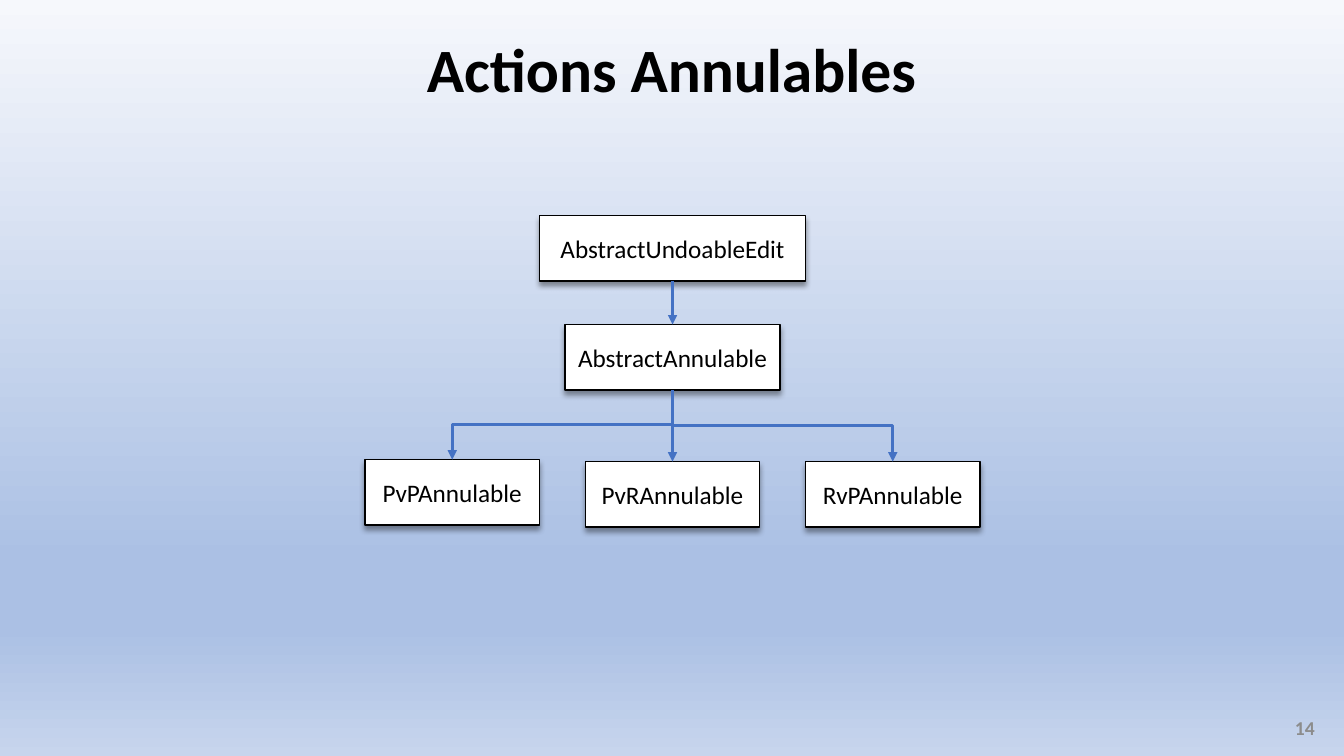
from dataclasses import dataclass
from lxml.etree import SubElement
from pptx import Presentation
from pptx.dml.color import RGBColor
from pptx.enum.shapes import MSO_CONNECTOR, MSO_SHAPE
from pptx.enum.text import MSO_ANCHOR, PP_ALIGN
from pptx.oxml import parse_xml
from pptx.oxml.ns import nsdecls, qn
from pptx.util import Inches, Pt


@dataclass(frozen=True)
class Theme:
    """Colours, font and type sizes of the slide."""
    font: str = "Calibri"
    ink: str = "000000"
    paper: str = "FFFFFF"
    arrow: str = "4472C4"
    muted: str = "8C8C8C"
    backdrop: tuple = ((0, "F6F8FC"), (74, "ABC0E4"), (83, "ABC0E4"), (100, "C7D5ED"))
    title: int = 44
    label: int = 18
    number: int = 14


@dataclass(frozen=True)
class Box:
    """A rectangle that hands out shares of itself in percent."""
    left: float
    top: float
    width: float
    height: float

    def inner(self, left, top, width, height):
        """Return the inner box given in percent of this one."""
        return Box(self.left + self.width * left / 100, self.top + self.height * top / 100,
                   self.width * width / 100, self.height * height / 100)

    def emu(self):
        """Return left, top, width and height as lengths."""
        return [Inches(v) for v in (self.left, self.top, self.width, self.height)]


T = Theme()
SLIDE = Box(0, 0, 13.33, 7.5)


def write(sp, text, size, color=T.ink, align=PP_ALIGN.CENTER, bold=False):
    """Put one formatted run into a shape and return its paragraph."""
    tf = sp.text_frame
    tf.word_wrap = True
    tf.vertical_anchor = MSO_ANCHOR.MIDDLE
    p = tf.paragraphs[0]
    p.alignment = align
    r = p.add_run()
    r.text = text
    r.font.name, r.font.size, r.font.bold = T.font, Pt(size), bold
    r.font.color.rgb = RGBColor.from_string(color)
    return p


def paint_background(s):
    """Fill the slide with a vertical gradient."""
    stops = "".join(f'<a:gs pos="{pos * 1000}"><a:srgbClr val="{c}"/></a:gs>'
                    for pos, c in T.backdrop)
    s._element.cSld.insert(0, parse_xml(
        f'<p:bg {nsdecls("p", "a")}><p:bgPr><a:gradFill rotWithShape="1">'
        f'<a:gsLst>{stops}</a:gsLst><a:lin ang="5400000" scaled="0"/></a:gradFill>'
        '<a:effectLst/></p:bgPr></p:bg>'))


def add_title(s, box, text):
    """Place and format the title placeholder."""
    sp = s.shapes.title
    sp.left, sp.top, sp.width, sp.height = box.emu()
    write(sp, text, T.title, bold=True).line_spacing = 0.9


def add_number(s, box, text):
    """Place the slide number."""
    write(s.shapes.add_textbox(*box.emu()), text, T.number, T.muted, PP_ALIGN.RIGHT, True)


def add_node(s, box, text):
    """Draw one class box with a soft shadow below it."""
    sp = s.shapes.add_shape(MSO_SHAPE.RECTANGLE, *box.emu())
    sp.fill.solid()
    sp.fill.fore_color.rgb = RGBColor.from_string(T.paper)
    sp.line.color.rgb = RGBColor.from_string(T.ink)
    sp.line.width = Pt(1)
    sp.shadow.inherit = False
    sp._element.spPr.find(qn("a:effectLst")).append(parse_xml(
        f'<a:outerShdw {nsdecls("a")} blurRad="{Pt(4)}" dist="{Pt(3)}" dir="5400000" '
        f'algn="t" rotWithShape="0"><a:srgbClr val="{T.ink}"><a:alpha val="40000"/>'
        '</a:srgbClr></a:outerShdw>'))
    write(sp, text, T.label)
    return sp


def link(s, parent, child):
    """Join the foot of a parent to the head of a child with an elbow arrow."""
    c = s.shapes.add_connector(MSO_CONNECTOR.ELBOW, 0, 0, 0, 0)
    c.begin_connect(parent, 2)
    c.end_connect(child, 0)
    x1, y1 = parent.left + parent.width // 2, parent.top + parent.height
    x2, y2 = child.left + child.width // 2, child.top
    c.width, c.height = y2 - y1, abs(x2 - x1)
    c.left, c.top = (x1 + x2 - c.width) // 2, (y1 + y2 - c.height) // 2
    leftward = x2 < x1
    xfrm = c._element.spPr.find(qn("a:xfrm"))
    xfrm.set("rot", str((90 if leftward else 270) * 60000))
    xfrm.set("flipH", "0" if leftward else "1")
    xfrm.set("flipV", "0")
    c.line.color.rgb = RGBColor.from_string(T.arrow)
    c.line.width = Pt(2.25)
    SubElement(c.line._get_or_add_ln(), qn("a:tailEnd"), type="triangle")
    SubElement(c._element.spPr, qn("a:effectLst"))


def add_hierarchy(s, box, root, base, leaves):
    """Draw two centred classes above an even row of subclasses."""
    high, wide, lift = 21.04, 28.36, 0.64
    step = (100 - wide) / (len(leaves) - 1)

    def centred(text, top, width):
        """Add a node on the vertical axis of the box."""
        return add_node(s, box.inner(50 - width / 2, top, width, high), text)

    root_node = centred(root, 0, 43.28)
    base_node = centred(base, 34.95, 34.92)
    link(s, root_node, base_node)
    for i, name in enumerate(leaves):
        top = 100 - high - (lift if i == 0 else 0)
        link(s, base_node, add_node(s, box.inner(i * step, top, wide, high), name))


def main():
    """Build and save the presentation."""
    prs = Presentation()
    prs.slide_width, prs.slide_height = SLIDE.emu()[2:]
    s = prs.slides.add_slide(prs.slide_layouts[5])
    paint_background(s)
    add_title(s, SLIDE.inner(30.5, 2.67, 39, 13.87), "Actions Annulables")
    add_hierarchy(s, SLIDE.inner(27.16, 28.53, 45.76, 41.2), "AbstractUndoableEdit",
                  "AbstractAnnulable", ["PvPAnnulable", "PvRAnnulable", "RvPAnnulable"])
    add_number(s, SLIDE.inner(76.07, 93.6, 22.5, 5.33), "14")
    prs.save("out.pptx")


main()
